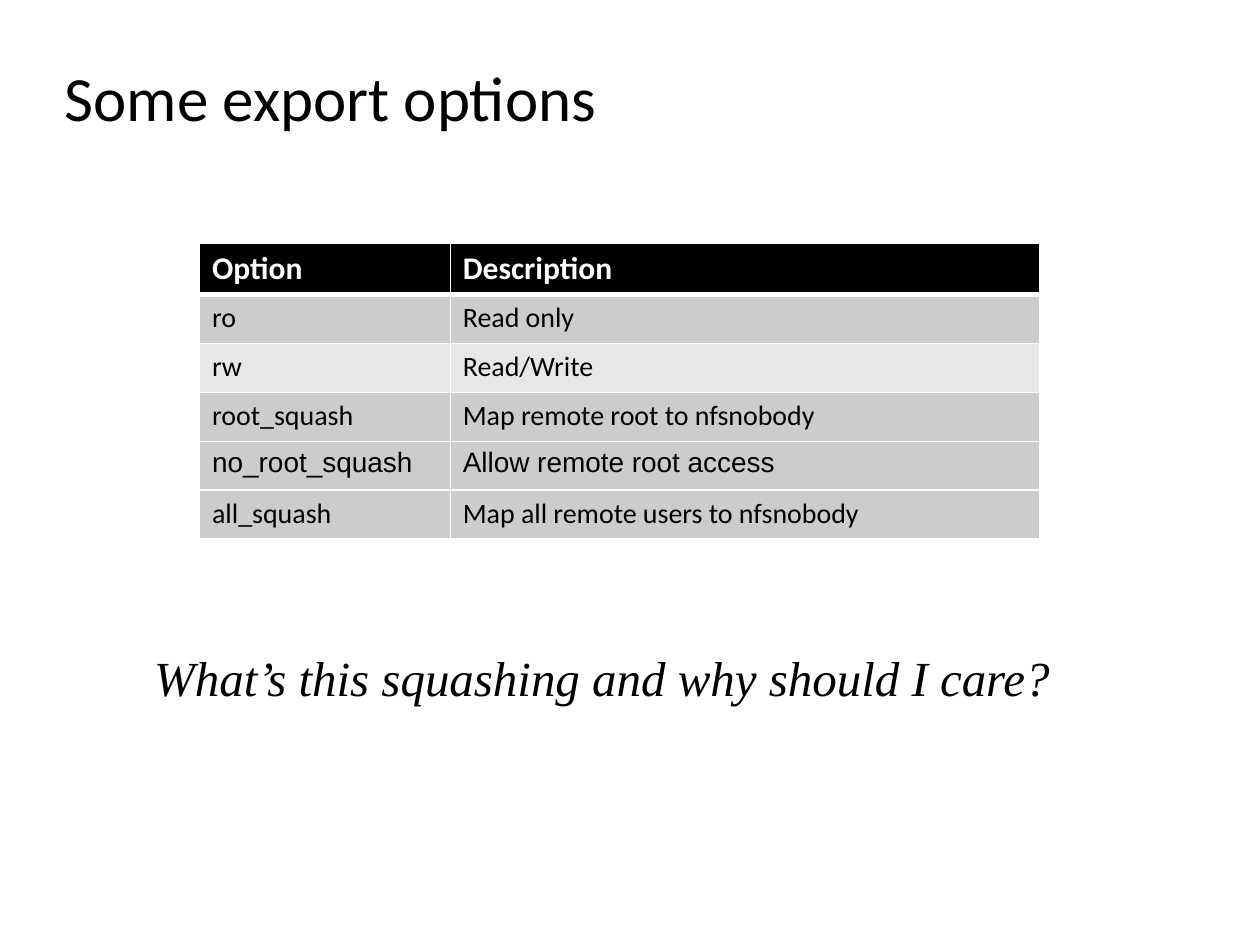
import pptx
import pptx.util
import pptx.dml.color
import pptx.enum.text
import pptx.oxml

Pt = pptx.util.Pt
RGBColor = pptx.dml.color.RGBColor
PP_ALIGN = pptx.enum.text.PP_ALIGN
AUTO_SIZE = pptx.enum.text.MSO_AUTO_SIZE
BLACK = RGBColor(0x00, 0x00, 0x00)
WHITE = RGBColor(0xFF, 0xFF, 0xFF)
GREY = RGBColor(0xCC, 0xCC, 0xCC)
PALE = RGBColor(0xE7, 0xE7, 0xE7)
A_NS = "http://schemas.openxmlformats.org/drawingml/2006/main"

HEAD = ("Option", "Description")
# Each row: option, description, fill, font
ROWS = [
    ("ro", "Read only", GREY, "Calibri"),
    ("rw", "Read/Write", PALE, "Calibri"),
    ("root_squash", "Map remote root to nfsnobody", GREY, "Calibri"),
    ("no_root_squash", "Allow remote root access", GREY, "Arial"),
    ("all_squash", "Map all remote users to nfsnobody", GREY, "Calibri"),
]


class Deck:
    """Holds the text style and the current slide."""

    face = "Calibri"
    ink = BLACK
    rule = 0.96
    thick = 3

    def __init__(self, slide):
        self.slide = slide

    def label(self, frame, text, size, face=None, ink=None,
              bold=False, italic=False):
        para = frame.paragraphs[0]
        para.text = text
        font = para.font
        font.name = face or self.face
        font.size = Pt(size)
        font.bold = bold
        font.italic = italic
        font.color.rgb = self.ink if ink is None else ink
        return para

    def text(self, left, top, width, height, text, size, wrap=True,
             align=PP_ALIGN.LEFT, **style):
        box = self.slide.shapes.add_textbox(
            Pt(left), Pt(top), Pt(width), Pt(height))
        frame = box.text_frame
        frame.word_wrap = wrap
        frame.auto_size = AUTO_SIZE.NONE if wrap else AUTO_SIZE.SHAPE_TO_FIT_TEXT
        self.label(frame, text, size, **style).alignment = align

    def edge(self, cell, sides):
        """Draw white borders; sides gives the width of each one."""
        props = cell._tc.get_or_add_tcPr()
        for spot, (side, width) in enumerate(sides.items()):
            line = pptx.oxml.parse_xml(
                f'<a:ln{side} xmlns:a="{A_NS}" w="{Pt(width)}"><a:solidFill>'
                f'<a:srgbClr val="{WHITE}"/></a:solidFill></a:ln{side}>')
            props.insert(spot, line)

    def cell(self, cell, text, size, fill, sides, **style):
        cell.fill.solid()
        cell.fill.fore_color.rgb = fill
        self.label(cell.text_frame, text, size, **style)
        self.edge(cell, sides)

    def table(self, left, top, widths, head_high, row_high, head, rows):
        high = head_high + row_high * len(rows)
        grid = self.slide.shapes.add_table(
            len(rows) + 1, len(widths),
            Pt(left), Pt(top), Pt(sum(widths)), Pt(high)).table
        for col, width in zip(grid.columns, widths):
            col.width = Pt(width)
        for row in grid.rows:
            row.height = Pt(row_high)
        grid.rows[0].height = Pt(head_high)

        thin = dict.fromkeys("LRTB", self.rule)
        for col, text in enumerate(head):
            self.cell(grid.cell(0, col), text, 18, BLACK,
                      {**thin, "B": self.thick}, ink=WHITE, bold=True)
        for num, (*texts, fill, face) in enumerate(rows, 1):
            sides = {**thin, "T": self.thick} if num == 1 else thin
            for col, text in enumerate(texts):
                self.cell(grid.cell(num, col), text, 16, fill, sides, face=face)


def main():
    show = pptx.Presentation()
    show.slide_width, show.slide_height = Pt(720), Pt(540)
    deck = Deck(show.slides.add_slide(show.slide_layouts[6]))

    # Title
    deck.text(30, 30, 648, 72, "Some export options", 36)

    # Export options
    deck.table(114, 139, (143.3, 336.7), 28.8, 28, HEAD, ROWS)

    # Closing question
    deck.text(80.6, 366.5, 526.4, 41, "What’s this squashing and why should I care?",
              28, wrap=False, align=PP_ALIGN.RIGHT,
              face="Times New Roman", italic=True)

    show.save("out.pptx")


if __name__ == "__main__":
    main()
